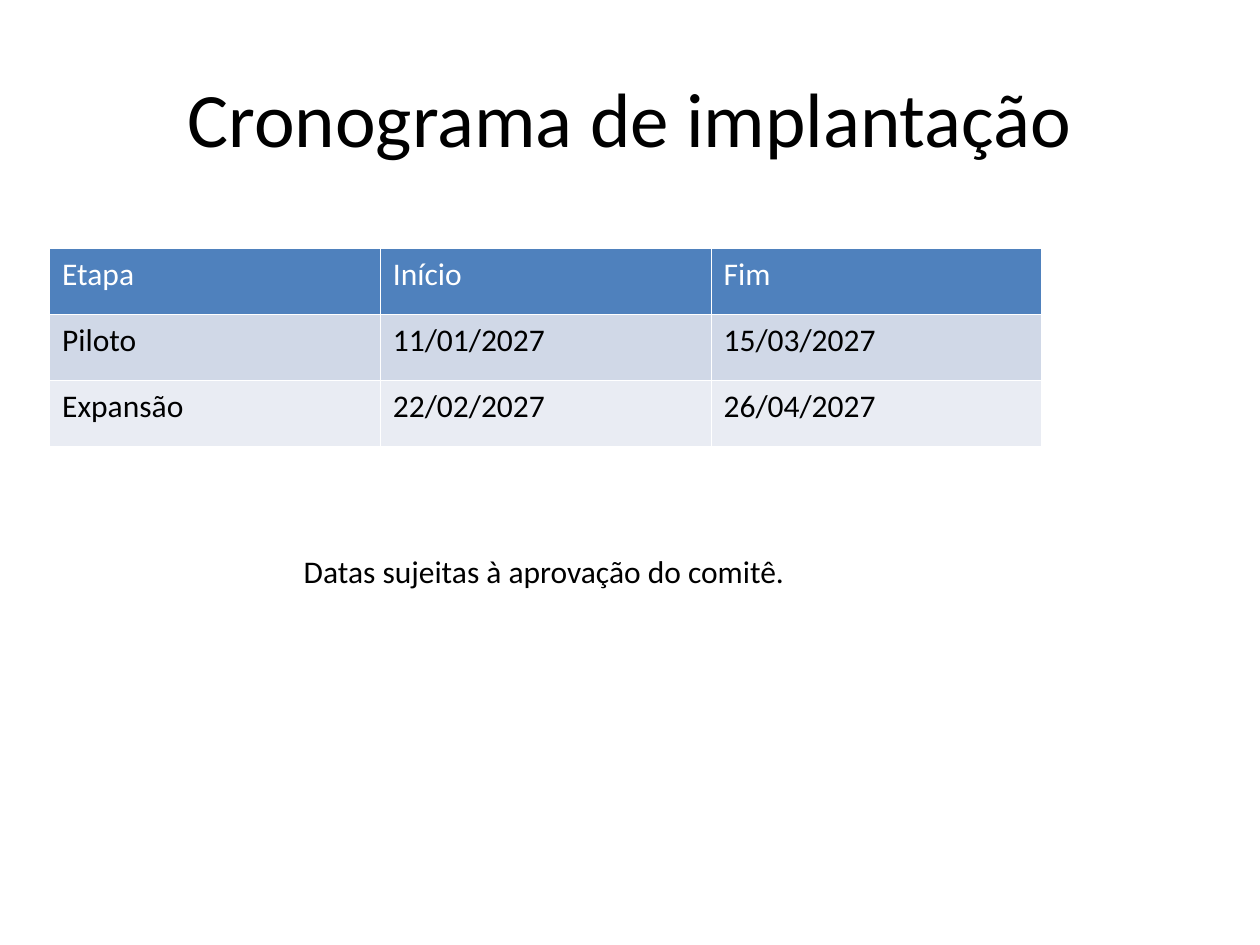
from lxml.etree import SubElement
from pptx import Presentation
from pptx.dml.color import RGBColor as RGB
from pptx.enum.text import MSO_ANCHOR as Anchor, PP_ALIGN as Align
from pptx.oxml.ns import qn
from pptx.util import Pt

COLORS = {
    "text": "000000",
    "white": "FFFFFF",
    "header": "4F81BD",
    "odd": "D0D8E7",
    "even": "E9ECF3",
}
FONT = "Calibri"
ROWS = [
    ["Etapa", "Início", "Fim"],
    ["Piloto", "11/01/2027", "15/03/2027"],
    ["Expansão", "22/02/2027", "26/04/2027"],
]


def write(tf, text, size, color="text", align=Align.LEFT):
    tf.text = text
    p = tf.paragraphs[0]
    p.alignment = align
    r = p.runs[0]
    r.font.size = Pt(size)
    r.font.name = FONT
    r.font.bold = False
    r.font.color.rgb = RGB.from_string(COLORS[color])


def add_text(s, box, text, size, align=Align.LEFT, anchor=Anchor.TOP, wrap=True):
    tf = s.shapes.add_textbox(*map(Pt, box)).text_frame
    tf.word_wrap = wrap
    tf.vertical_anchor = anchor
    write(tf, text, size, align=align)


def set_borders(cell, color, width):
    tc_pr = cell._tc.get_or_add_tcPr()
    for side in ("lnL", "lnR", "lnT", "lnB"):
        ln = SubElement(tc_pr, qn(f"a:{side}"), w=str(Pt(width)))
        fill = SubElement(ln, qn("a:solidFill"))
        SubElement(fill, qn("a:srgbClr"), val=COLORS[color])


def add_schedule(s, box, rows):
    left, top, width, height = box
    table = s.shapes.add_table(len(rows), len(rows[0]), *map(Pt, box)).table
    for col in table.columns:
        col.width = Pt(width / len(rows[0]))
    for i, values in enumerate(rows):
        table.rows[i].height = Pt(height / len(rows))
        fill = "header" if i == 0 else "odd" if i % 2 else "even"
        for j, value in enumerate(values):
            cell = table.cell(i, j)
            set_borders(cell, "white", 0.45)
            cell.fill.solid()
            cell.fill.fore_color.rgb = RGB.from_string(COLORS[fill])
            write(cell.text_frame, value, 18, "text" if i else "white")
            cell.text_frame.paragraphs[0].line_spacing = 1.02


def main():
    prs = Presentation()
    prs.slide_width, prs.slide_height = Pt(720), Pt(540)
    s = prs.slides.add_slide(prs.slide_layouts[6])
    add_text(s, (36, 21.6, 648, 90), "Cronograma de implantação", 44,
             Align.CENTER, Anchor.MIDDLE)
    add_schedule(s, (28.35, 141.9, 567, 113.1), ROWS)
    add_text(s, (166.5, 311.8, 290.9, 29), "Datas sujeitas à aprovação do comitê.", 18,
             wrap=False)
    prs.save("out.pptx")


if __name__ == "__main__":
    main()
